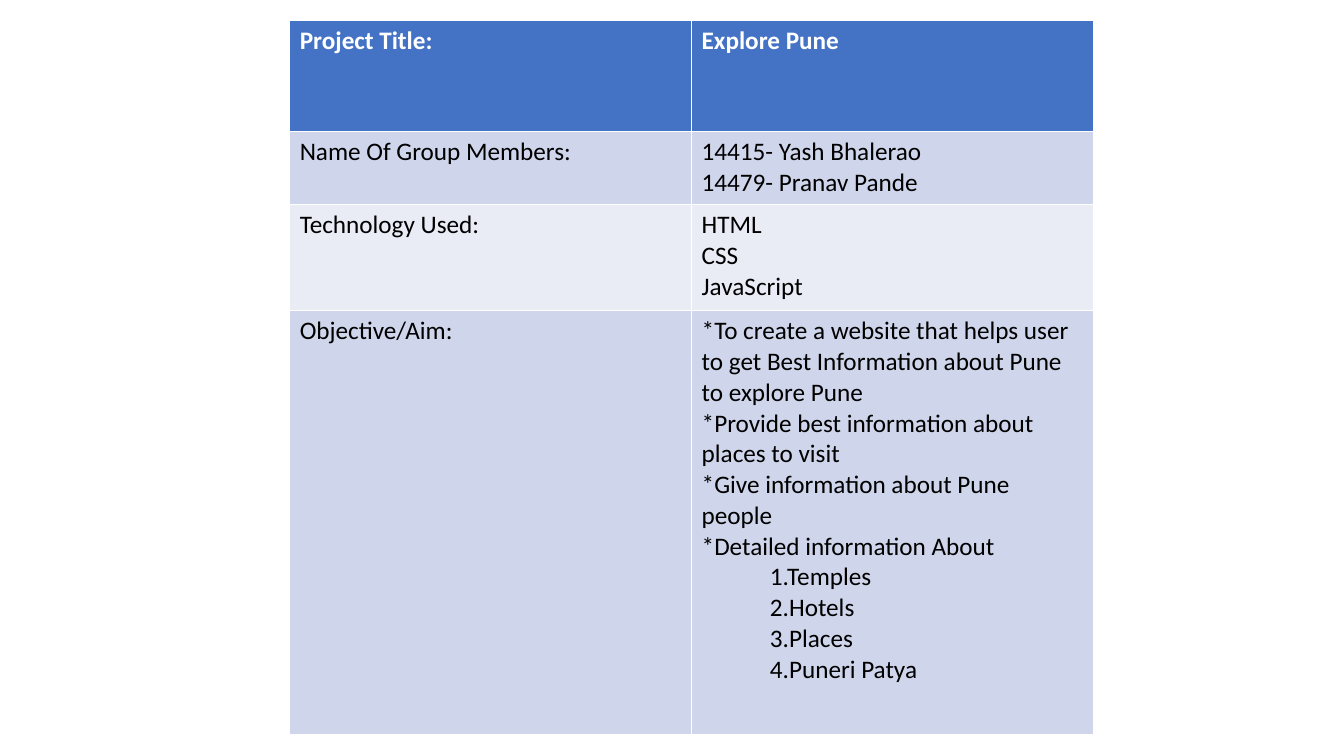
from pptx import Presentation
from pptx.dml.color import RGBColor
from pptx.util import Cm, Pt

COLORS = {
    "header": "4472C4",
    "band_dark": "CFD5EA",
    "band_light": "E9EBF5",
    "white": "FFFFFF",
    "black": "000000",
}

ROWS = [
    (2.79, ["Project Title:"], ["Explore Pune"]),
    (1.85, ["Name Of Group Members:"],
     ["14415- Yash Bhalerao", "14479- Pranav Pande"]),
    (2.67, ["Technology Used:"], ["HTML", "CSS", "JavaScript"]),
    (10.67, ["Objective/Aim:"], [
        "*To create a website that helps user to get Best Information "
        "about Pune to explore Pune",
        "*Provide best information about places to visit",
        "*Give information about Pune people",
        "*Detailed information About",
        "1.Temples",
        "2.Hotels",
        "3.Places",
        "4.Puneri Patya",
    ]),
]


def fill_cell(cell, lines, fill, color, bold):
    cell.fill.solid()
    cell.fill.fore_color.rgb = RGBColor.from_string(COLORS[fill])
    tf = cell.text_frame
    tf.text = "\n".join(lines)
    for p in tf.paragraphs:
        if p.text[0].isdigit() and p.text[1] == ".":
            p._p.get_or_add_pPr().set("marL", str(int(Cm(1.72))))
        for r in p.runs:
            r.font.name = "Calibri"
            r.font.size = Pt(18)
            r.font.bold = bold
            r.font.color.rgb = RGBColor.from_string(COLORS[color])


def add_project_table(s):
    height = sum(row[0] for row in ROWS)
    frame = s.shapes.add_table(len(ROWS), 2, Cm(7.3), Cm(0.52),
                               Cm(20.26), Cm(height))
    table = frame.table
    for i, (row_height, *texts) in enumerate(ROWS):
        table.rows[i].height = Cm(row_height)
        header = i == 0
        band = "band_dark" if i % 2 else "band_light"
        for j, lines in enumerate(texts):
            fill_cell(table.cell(i, j), lines,
                      "header" if header else band,
                      "white" if header else "black", header)


def main():
    prs = Presentation()
    prs.slide_width = Cm(33.87)
    prs.slide_height = Cm(19.05)
    s = prs.slides.add_slide(prs.slide_layouts[6])
    add_project_table(s)
    prs.save("out.pptx")


if __name__ == "__main__":
    main()
